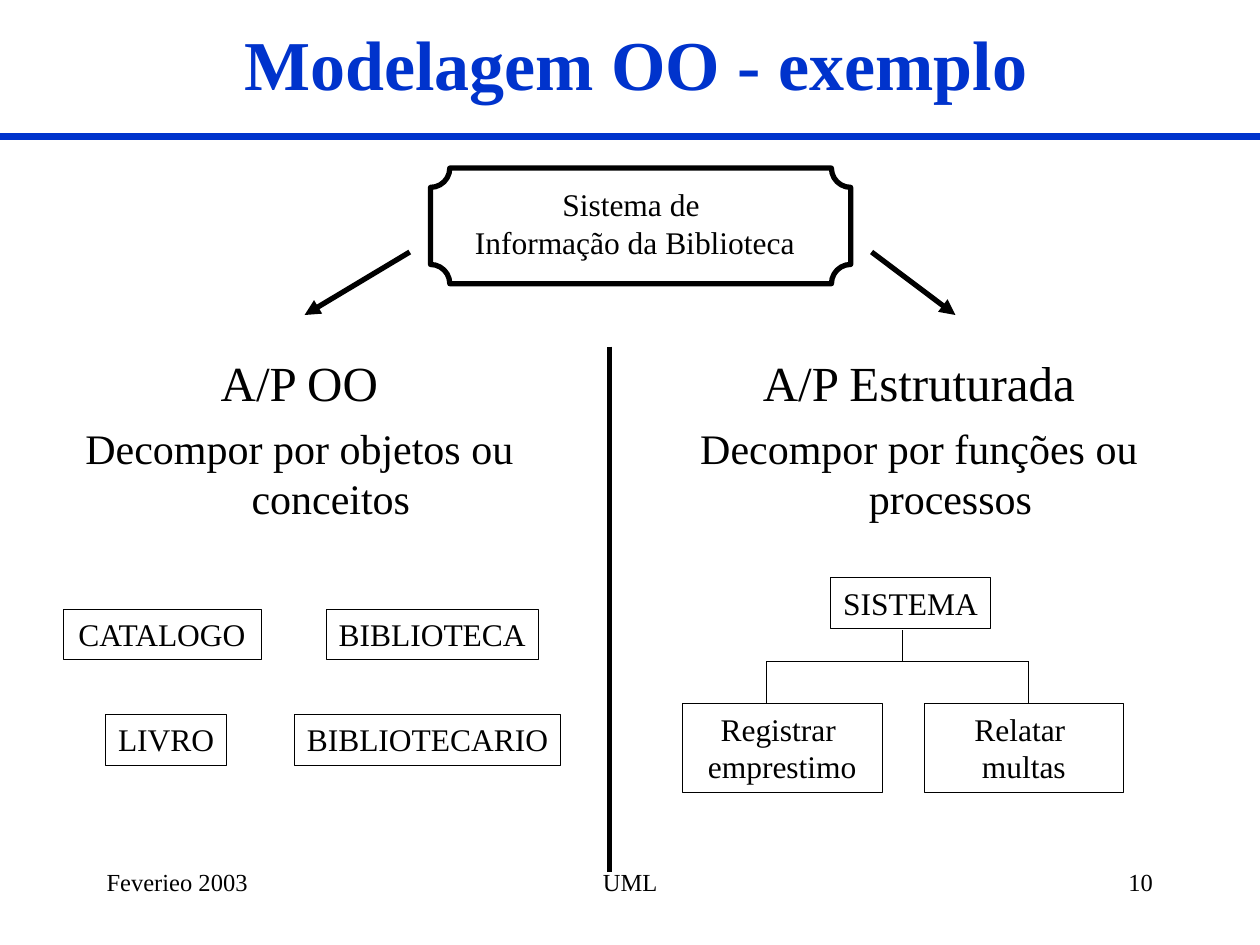
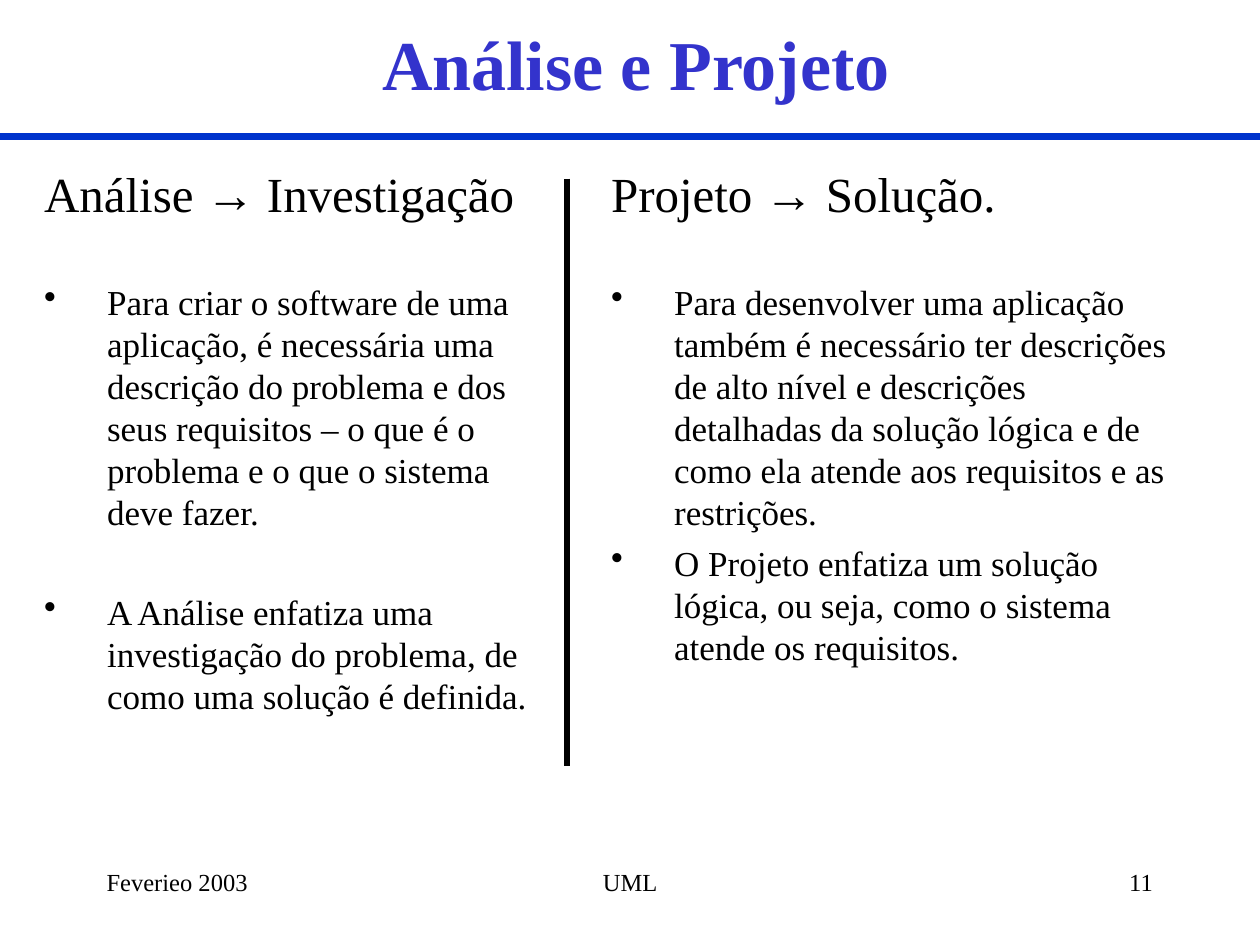
import pptx
import pptx.util
import pptx.dml.color
import pptx.enum.shapes
import pptx.enum.text
import pptx.oxml
import pptx.oxml.ns

Cm = pptx.util.Cm
Pt = pptx.util.Pt
Align = pptx.enum.text.PP_ALIGN
Anchor = pptx.enum.text.MSO_ANCHOR
Shape = pptx.enum.shapes.MSO_SHAPE
COLORS = {"text": "000000", "rule": "0033CC", "violet": "3333CC"}


def rgb(name):
    return pptx.dml.color.RGBColor.from_string(COLORS[name])


def add_element(parent, tag, **attributes):
    element = pptx.oxml.parse_xml(f"<a:{tag} {pptx.oxml.ns.nsdecls('a')}/>")
    for name, value in attributes.items():
        element.set(name, value)
    parent.append(element)


class Deck:
    font = "Times New Roman"
    arrow_font = "Arial"

    def __init__(self):
        self.presentation = pptx.Presentation()
        self.presentation.slide_width = Cm(25.4)
        self.presentation.slide_height = Cm(19.05)
        self.slide = None

    def new_slide(self, title, number, title_color="rule"):
        layout = self.presentation.slide_layouts[6]
        self.slide = self.presentation.slides.add_slide(layout)
        title_frame = self.text_box(1.07, 0, 23.5, 2.54, Anchor.MIDDLE)
        self.paragraph(title_frame, title, 40, Align.CENTER, color=title_color, bold=True)
        self.line(0, 2.75, 25.4, 2.75, 4, "rule")
        footers = [
            ("Feverieo 2003", 1.9, 5.29, Align.LEFT),
            ("UML", 8.68, 8.05, Align.CENTER),
            (number, 18.2, 5.29, Align.RIGHT),
        ]
        for text, left, width, align in footers:
            self.paragraph(self.text_box(left, 17.36, width, 1.27), text, 14, align)

    def text_box(self, left, top, width, height, anchor=Anchor.TOP, wrap=True):
        shape = self.slide.shapes.add_textbox(Cm(left), Cm(top), Cm(width), Cm(height))
        return self.prepare(shape, anchor, wrap)

    def prepare(self, shape, anchor, wrap):
        frame = shape.text_frame
        frame.word_wrap = wrap
        frame.vertical_anchor = anchor
        return frame

    def outline(self, preset, left, top, width, height, weight):
        shape = self.slide.shapes.add_shape(preset, Cm(left), Cm(top), Cm(width), Cm(height))
        shape.shadow.inherit = False
        shape.fill.background()
        shape.line.color.rgb = rgb("text")
        shape.line.width = Pt(weight)
        return shape

    def box(self, lines, left, top, width, height):
        shape = self.outline(Shape.RECTANGLE, left, top, width, height, 0.25)
        frame = self.prepare(shape, Anchor.TOP, len(lines) > 1)
        self.centered_lines(frame, lines)

    def centered_lines(self, frame, lines):
        for text in lines:
            self.paragraph(frame, text, 18, Align.CENTER)

    def paragraph(self, frame, text, size, align=Align.LEFT, before=0,
                  hanging=False, bullet=False, color="text", bold=False):
        paragraph = frame.paragraphs[0]
        if paragraph.runs:
            paragraph = frame.add_paragraph()
        paragraph.alignment = align
        paragraph.space_before = Pt(before)
        properties = paragraph._p.get_or_add_pPr()
        if hanging:
            properties.set("marL", str(Cm(1.27)))
            properties.set("indent", str(-Cm(1.27)))
        if bullet:
            add_element(properties, "buChar", char="•")
        start, arrow, end = text.partition("→")
        for part in filter(None, (start, arrow, end)):
            run = paragraph.add_run()
            run.text = part
            run.font.name = self.arrow_font if part == "→" else self.font
            run.font.size = Pt(size)
            run.font.bold = bold
            run.font.color.rgb = rgb(color)

    def line(self, x1, y1, x2, y2, weight, color="text", arrow=False):
        connector = self.slide.shapes.add_connector(
            pptx.enum.shapes.MSO_CONNECTOR.STRAIGHT, Cm(x1), Cm(y1), Cm(x2), Cm(y2))
        connector.line.color.rgb = rgb(color)
        connector.line.width = Pt(weight)
        if arrow:
            add_element(connector.line._get_or_add_ln(), "tailEnd", type="triangle")
        add_element(connector._element.spPr, "effectLst")

    def approach(self, heading, summary, left, width):
        frame = self.text_box(left, 6.99, width, 4.23)
        self.paragraph(frame, heading, 28, Align.CENTER, 7, hanging=True)
        self.paragraph(frame, summary, 24, Align.CENTER, 6, hanging=True)

    def column(self, heading, bullets, left, width):
        frame = self.text_box(left, 3.18, width, 14.18)
        self.paragraph(frame, heading, 28, before=7, hanging=True)
        for text, before in bullets:
            self.paragraph(frame, text, 20, before=before, hanging=True, bullet=True)


def build_example(deck):
    deck.new_slide("Modelagem OO - exemplo", "10")
    deck.approach("A/P OO", "Decompor por objetos ou conceitos", 0.85, 10.37)
    deck.approach("A/P Estruturada", "Decompor por funções ou processos", 13.55, 9.95)
    deck.line(12.28, 6.99, 12.28, 17.57, 3)

    concepts = [
        ("CATALOGO", 1.27, 12.28, 3.99),
        ("BIBLIOTECA", 6.58, 12.28, 4.27),
        ("LIVRO", 2.13, 14.4, 2.44),
        ("BIBLIOTECARIO", 5.94, 14.4, 5.36),
    ]
    for text, left, top, width in concepts:
        deck.box([text], left, top, width, 1.02)

    deck.box(["SISTEMA"], 16.74, 11.64, 3.23, 1.02)
    deck.box(["Registrar ", "emprestimo"], 13.76, 14.18, 4.02, 1.79)
    deck.box(["Relatar ", "multas"], 18.63, 14.18, 4.02, 1.79)
    branch_y, branches = 13.34, (15.45, 20.74)
    deck.line(18.2, 12.7, 18.2, branch_y, 0.75)
    deck.line(branches[0], branch_y, branches[1], branch_y, 0.75)
    for x in branches:
        deck.line(x, branch_y, x, 14.18, 0.75)

    deck.outline(Shape.PLAQUE, 8.68, 3.39, 8.47, 2.33, 3)
    system_frame = deck.text_box(9.32, 3.6, 6.96, 1.78, wrap=False)
    deck.centered_lines(system_frame, ["Sistema de ", "Informação da Biblioteca"])
    for start, end in ((17.57, 19.26), (8.26, 6.14)):
        deck.line(start, 5.08, end, 6.35, 3, arrow=True)


def build_analysis(deck):
    deck.new_slide("Análise e Projeto", "11", "violet")
    near, far = 5, 33
    deck.column("Análise → Investigação", [
        ("Para criar o software de uma aplicação, é necessária uma descrição do "
         "problema e dos seus requisitos – o que é o problema e o que o sistema "
         "deve fazer.", far),
        ("A Análise enfatiza uma investigação do problema, de como uma solução "
         "é definida.", far),
    ], 0.64, 10.37)
    deck.column("Projeto → Solução.", [
        ("Para desenvolver uma aplicação também é necessário ter descrições de "
         "alto nível e descrições detalhadas da solução lógica e de como ela "
         "atende aos requisitos e as restrições.", far),
        ("O Projeto enfatiza um solução lógica, ou seja, como o sistema atende "
         "os requisitos.", near),
    ], 12.07, 11.85)
    deck.line(11.43, 3.6, 11.43, 15.45, 3)


def main():
    deck = Deck()
    build_example(deck)
    build_analysis(deck)
    deck.presentation.save("out.pptx")


if __name__ == "__main__":
    main()
